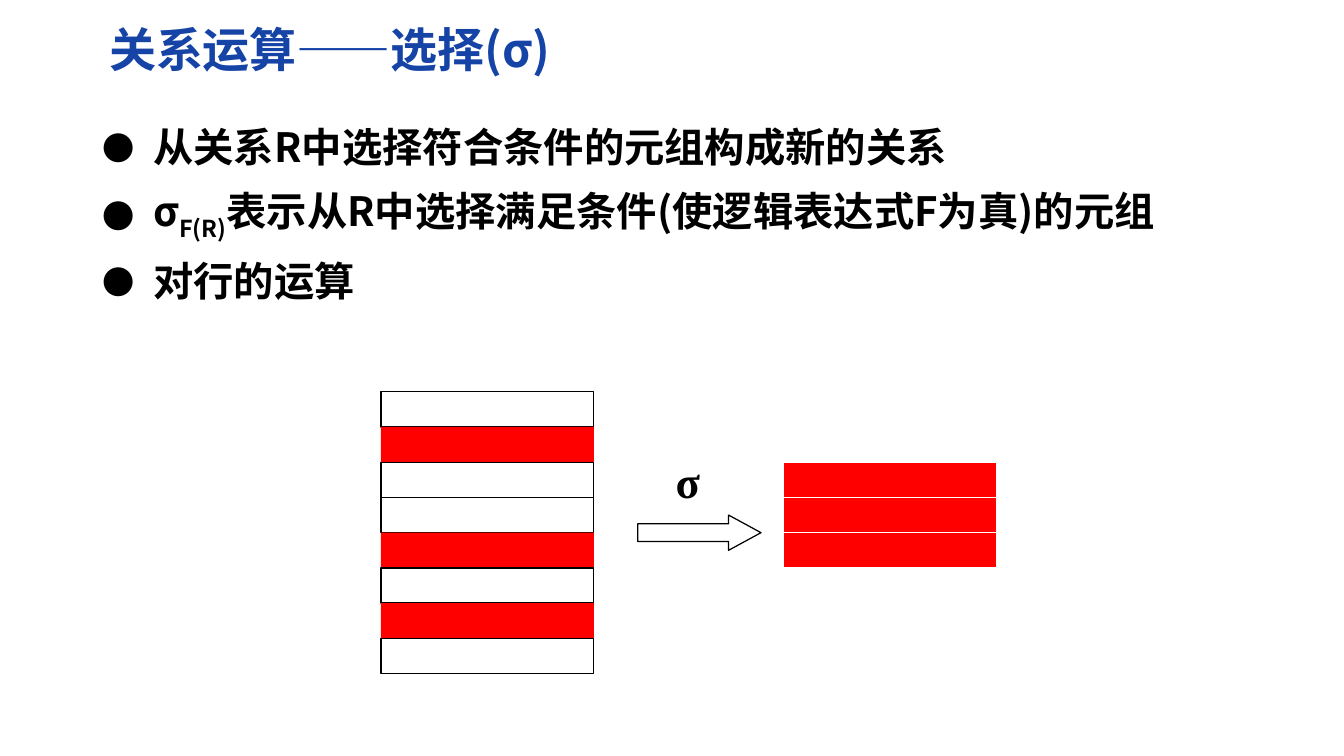
from dataclasses import dataclass
from typing import Any, Optional

from lxml import etree
from pptx import Presentation
from pptx.dml.color import RGBColor
from pptx.enum import shapes, text
from pptx.oxml import ns
from pptx.util import Cm, Pt

BLUE = RGBColor(0x15, 0x43, 0xA6)
BLACK = RGBColor(0, 0, 0)
WHITE = RGBColor(255, 255, 255)
RED = RGBColor(255, 0, 0)

SANS = "Noto Sans CJK SC"
SERIF = "Times New Roman"
ROW_WIDTH, ROW_HEIGHT = 4.47, 0.74
RELATION_TOP = 8.23
SELECTED_ROWS = (1, 4, 6)


@dataclass
class Span:
    words: str
    subscript: bool = False


@dataclass
class Relation:
    left: float
    top: float
    fills: list[RGBColor]
    lines: dict[RGBColor, Optional[RGBColor]]


BULLETS = [
    [Span("从关系R中选择符合条件的元组构成新的关系")],
    [Span("σ"), Span("F(R)", True),
     Span("表示从R中选择满足条件(使逻辑表达式F为真)的元组")],
    [Span("对行的运算")],
]

RELATIONS = [
    Relation(8.0, RELATION_TOP,
             [RED if row in SELECTED_ROWS else WHITE for row in range(8)],
             {WHITE: BLACK, RED: None}),
    Relation(16.46, RELATION_TOP + 2 * ROW_HEIGHT,
             [RED] * len(SELECTED_ROWS), {RED: WHITE}),
]


def set_values(target: Any, values: dict[str, Any]) -> None:
    for name, value in values.items():
        setattr(target, name, value)


def add_span(para: Any, span: Span, font: str, size: float,
             color: RGBColor) -> None:
    run = para.add_run()
    run.text = span.words
    set_values(run.font, {"name": font, "size": Pt(size), "bold": True})
    run.font.color.rgb = color
    properties = run.font._element
    etree.SubElement(properties, ns.qn("a:ea"), typeface=font)
    if span.subscript:
        properties.set("baseline", "-25000")


def add_bullet(para: Any) -> None:
    """Give the paragraph a hanging round bullet."""
    properties = para._p.get_or_add_pPr()
    properties.set("marL", str(Cm(1.07)))
    properties.set("indent", str(-Cm(1.07)))
    etree.SubElement(properties, ns.qn("a:buSzPct"), val="80000")
    etree.SubElement(properties, ns.qn("a:buFont"), typeface=SANS)
    etree.SubElement(properties, ns.qn("a:buChar"), char="●")


def add_block(page: Any, kind: Any, left: float, top: float, width: float,
              fill: RGBColor, line: Optional[RGBColor]) -> Any:
    block = page.shapes.add_shape(kind, Cm(left), Cm(top), Cm(width),
                                  Cm(ROW_HEIGHT))
    block.shadow.inherit = False
    block.fill.solid()
    block.fill.fore_color.rgb = fill
    if line is None:
        block.line.fill.background()
    else:
        block.line.color.rgb = line
        block.line.width = Pt(0.75)
    return block


def add_title(page: Any) -> None:
    title = page.shapes.title
    set_values(title, {"left": Cm(2.01), "top": Cm(0.3),
                       "width": Cm(24.92), "height": Cm(1.45)})
    frame = title.text_frame
    set_values(frame, {"vertical_anchor": text.MSO_ANCHOR.MIDDLE,
                       "margin_left": Cm(0.28), "margin_right": Cm(0.28),
                       "margin_top": Cm(0.15), "margin_bottom": Cm(0.15)})
    para = frame.paragraphs[0]
    para.alignment = text.PP_ALIGN.LEFT
    add_span(para, Span("关系运算——选择(σ)"), SANS, 28, BLUE)


def add_bullets(page: Any) -> None:
    box = page.shapes.add_textbox(Cm(1.9), Cm(2.13), Cm(24.99), Cm(5.5))
    frame = box.text_frame
    frame.word_wrap = True
    for index, spans in enumerate(BULLETS):
        para = frame.add_paragraph() if index else frame.paragraphs[0]
        add_bullet(para)
        para.line_spacing = 1.3
        for span in spans:
            add_span(para, span, SANS, 24, BLACK)


def add_selection(page: Any) -> None:
    """Draw the relation, the arrow with its operator, and the result."""
    for relation in RELATIONS:
        for row, fill in enumerate(relation.fills):
            add_block(page, shapes.MSO_SHAPE.RECTANGLE, relation.left,
                      relation.top + row * ROW_HEIGHT, ROW_WIDTH, fill,
                      relation.lines[fill])
    arrow = add_block(page, shapes.MSO_SHAPE.RIGHT_ARROW, 13.39, 10.82, 2.59,
                      WHITE, BLACK)
    arrow.adjustments[1] = 0.92
    box = page.shapes.add_textbox(Cm(13.39), Cm(9.4), Cm(2.11), Cm(1.4))
    box.text_frame.word_wrap = True
    para = box.text_frame.paragraphs[0]
    para.alignment = text.PP_ALIGN.CENTER
    add_span(para, Span("σ"), SERIF, 26.7, BLACK)


def main() -> None:
    deck = Presentation()
    set_values(deck, {"slide_width": Cm(28.22), "slide_height": Cm(15.88)})
    page = deck.slides.add_slide(deck.slide_layouts.get_by_name("Title Only"))
    add_title(page)
    add_bullets(page)
    add_selection(page)
    deck.save("out.pptx")


if __name__ == "__main__":
    main()
